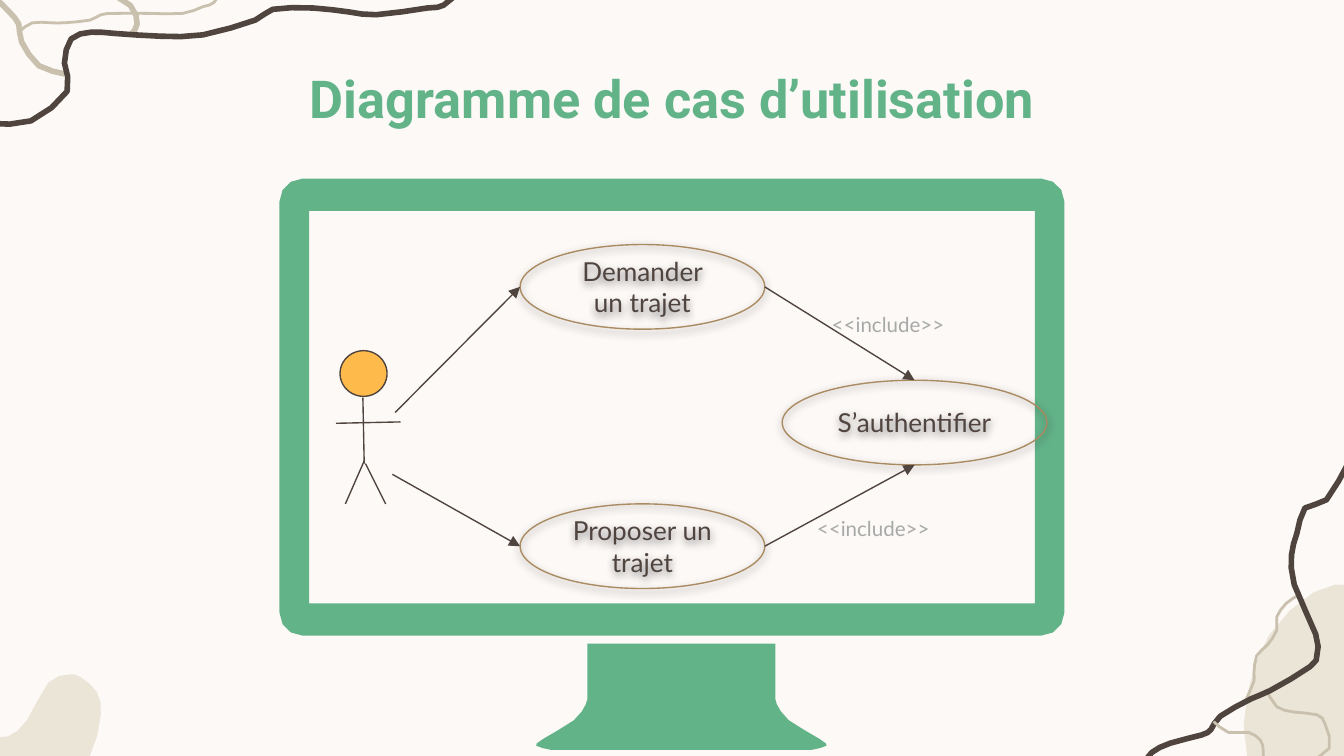
from dataclasses import dataclass
from math import cos, pi, sin
from typing import Optional

from lxml.etree import SubElement
from pptx import Presentation
from pptx.dml.color import RGBColor
from pptx.enum.shapes import MSO_CONNECTOR, MSO_SHAPE
from pptx.enum.text import MSO_ANCHOR, PP_ALIGN
from pptx.oxml.ns import qn
from pptx.util import Cm, Pt

UNIT = Cm(2.54)  # every coordinate below counts in this grid unit
CURVE_STEPS = 2  # straight pieces between two points of a curve
CORNER_STEPS = 3  # straight pieces in a rounded corner
COLORS = {
    "paper": "FCF9F7", "green": "63B389", "dark": "50443F", "sand": "EBE5D8",
    "taupe": "C9C0AD", "bronze": "AA8B61", "orange": "FFBA4C", "gray": "A6A9A8",
}
Point = tuple[float, float]


@dataclass
class Stroke:
    color: str
    width: float
    points: list[Point]


@dataclass
class UseCase:
    text: str
    left: float
    top: float
    width: float
    height: float = 0.63

    def side(self, across: float, down: float) -> Point:
        """Point at the given fractions of the width and height."""
        return self.left + across * self.width, self.top + down * self.height


BLOBS = [
    [(10.38, 4.5), (10.09, 4.35), (9.77, 4.41), (9.44, 4.73), (9.28, 5.17), (9.28, 5.64),
     (9.55, 6.2), (10.83, 6.3), (11.1, 5.65), (10.73, 5.41), (10.53, 4.77)],
    [(-0.6, 4.89), (-0.92, 5.14), (-0.92, 5.49), (-0.69, 5.87), (-0.05, 6.09), (0.4, 5.97),
     (0.66, 5.65), (0.75, 5.32), (0.72, 5.15), (0.6, 5.04), (0.51, 5.02), (0.36, 5.08),
     (0.2, 5.36), (0.06, 5.48), (-0.11, 5.45), (-0.21, 5.22), (-0.37, 4.98)],
]
STROKES = [
    Stroke("taupe", 3, [(0.98, 0.25), (1.02, 0.18), (0.97, 0.04), (0.73, -0.1)]),
    Stroke("taupe", 1.5, [(9.42, 5.13), (9.5, 5.26), (9.63, 5.3), (9.8, 5.32), (9.86, 5.39),
                          (9.89, 5.57), (9.71, 5.69)]),
    Stroke("taupe", 1.5, [(9.66, 4.43), (9.57, 4.49), (9.5, 4.59), (9.5, 4.69), (9.43, 4.8),
                          (9.35, 4.88), (9.33, 5.01), (9.33, 5.07), (9.27, 5.21)]),
    Stroke("dark", 3, [(10.03, 3.45), (9.87, 3.72), (9.71, 3.78), (9.65, 3.97), (9.61, 4.13),
                       (9.63, 4.35), (9.79, 4.72), (9.8, 4.87), (9.75, 4.96), (9.45, 5.14),
                       (9.31, 5.2), (9.08, 5.33), (9.01, 5.43), (8.94, 5.47), (8.71, 5.53),
                       (8.57, 5.6), (8.5, 5.7)]),
    Stroke("taupe", 1.5, [(9.03, 5.37), (9.14, 5.45), (9.29, 5.45), (9.38, 5.51), (9.4, 5.59),
                          (9.4, 5.69)]),
    Stroke("taupe", 3, [(0.48, 0.55), (0.29, 0.49), (0.16, 0.31), (0.14, 0.18), (0.07, 0.09),
                        (-0.03, -0.01)]),
    Stroke("dark", 3, [(-0.05, 0.92), (0.23, 0.9), (0.5, 0.68), (0.48, 0.47), (0.53, 0.29),
                       (0.68, 0.24), (0.86, 0.25), (1.19, 0.27), (1.51, 0.26), (1.9, 0.15),
                       (2.03, 0.07), (2.33, 0.06), (2.6, 0.09), (2.8, 0.11), (3.18, 0.06),
                       (3.3, 0.04), (3.45, -0.09)]),
    Stroke("taupe", 1.5, [(0.15, 0.23), (0.24, 0.17), (0.38, 0.17), (0.48, 0.17), (0.67, 0.15),
                          (0.75, 0.11), (0.86, 0.1), (1.11, 0.1), (1.36, 0.1), (1.51, 0.05),
                          (1.59, 0.02), (1.67, -0.09)]),
]
REQUEST = UseCase("Demander un trajet", 3.87, 1.82, 1.82)
LOGIN = UseCase("S’authentifier", 5.82, 2.83, 1.97)
OFFER = UseCase("Proposer un trajet", 3.87, 3.75, 1.82)
ACTOR_LIMBS = [((2.7, 2.96), (2.71, 3.45)), ((2.71, 3.43), (2.57, 3.75)),
               ((2.72, 3.45), (2.87, 3.75)), ((2.5, 3.15), (2.98, 3.14))]
ARROWS = [(REQUEST.side(1, 0.5), LOGIN.side(0.5, 0)), (OFFER.side(1, 0.5), LOGIN.side(0.5, 1)),
          ((2.94, 3.07), REQUEST.side(0, 0.5)), ((2.92, 3.53), OFFER.side(0, 0.5))]


def rgb(name: str) -> RGBColor:
    return RGBColor.from_string(COLORS[name])


def units(*values: float) -> list[int]:
    return [round(value * UNIT) for value in values]


def smooth(points: list[Point], closed: bool = False) -> list[Point]:
    """Run a Catmull-Rom curve through the points."""
    ends = (points[-1:], points[:2]) if closed else (points[:1], points[-1:])
    knots = ends[0] + points + ends[1]
    curve = [points[0]]
    for a, b, c, d in zip(knots, knots[1:], knots[2:], knots[3:]):
        for step in range(1, CURVE_STEPS + 1):
            t = step / CURVE_STEPS
            curve.append(tuple(
                q + t / 2 * (r - p + t * (2 * p - 5 * q + 4 * r - s + t * (3 * (q - r) + s - p)))
                for p, q, r, s in zip(a, b, c, d)))
    return curve


def rounded_outline(left: float, top: float, right: float, bottom: float,
                    radius: float) -> list[Point]:
    corners = [(right - radius, bottom - radius), (left + radius, bottom - radius),
               (left + radius, top + radius), (right - radius, top + radius)]
    return [(x + radius * cos(angle), y + radius * sin(angle))
            for turn, (x, y) in enumerate(corners)
            for angle in (pi / 2 * (turn + step / CORNER_STEPS)
                          for step in range(CORNER_STEPS + 1))]


def paint(shape, fill: Optional[str] = None, line: Optional[str] = None,
          width: float = 0.75) -> None:
    shape.shadow.inherit = False
    for part, color in ((shape.fill, fill), (shape.line.fill, line)):
        if color:
            part.solid()
            part.fore_color.rgb = rgb(color)
        else:
            part.background()
    if line:
        shape.line.width = Pt(width)


def add_outline(page, contours: list[list[Point]], closed: bool = True):
    grid = [[(x * 1000, y * 1000) for x, y in contour] for contour in contours]
    builder = page.shapes.build_freeform(*grid[0][0], scale=UNIT / 1000)
    for number, contour in enumerate(grid):
        if number:
            builder.move_to(*contour[0])
        builder.add_line_segments(contour[1:], close=closed)
    return builder.convert_to_shape()


def write(shape, text: str, align: PP_ALIGN, anchor: MSO_ANCHOR, color: str,
          **font_format) -> None:
    frame = shape.text_frame
    margins = {f"margin_{side}": Cm(0.25) for side in ("left", "right", "top", "bottom")}
    for name, value in {**margins, "word_wrap": True, "vertical_anchor": anchor}.items():
        setattr(frame, name, value)
    para = frame.paragraphs[0]
    para.alignment = align
    span = para.add_run()
    span.text = text
    span.font.color.rgb = rgb(color)
    for name, value in font_format.items():
        setattr(span.font, name, value)


def add_line(page, start: Point, end: Point, arrow: bool = False) -> None:
    line = page.shapes.add_connector(MSO_CONNECTOR.STRAIGHT, *units(*start, *end))
    line.line.color.rgb = rgb("dark")
    line.line.width = Pt(0.75)
    if arrow:
        SubElement(line._element.spPr.find(qn("a:ln")), qn("a:tailEnd"), type="triangle")
    SubElement(line._element.spPr, qn("a:effectLst"))


def add_use_case(page, case: UseCase) -> None:
    oval = page.shapes.add_shape(MSO_SHAPE.FLOWCHART_CONNECTOR,
                                 *units(case.left, case.top, case.width, case.height))
    paint(oval, line="bronze")
    shadow = SubElement(oval._element.spPr.find(qn("a:effectLst")), qn("a:outerShdw"),
                        blurRad=str(Pt(4.5)), dist=str(Pt(1.5)), dir="5400000",
                        algn="bl", rotWithShape="0")
    tint = SubElement(shadow, qn("a:srgbClr"), val="000000")
    SubElement(tint, qn("a:alpha"), val="50000")
    write(oval, case.text, PP_ALIGN.CENTER, MSO_ANCHOR.MIDDLE, "dark", name="Lato", size=Pt(14))


def add_monitor(page) -> None:
    screen = [(7.7, 1.57), (7.7, 4.49), (2.3, 4.49), (2.3, 1.57)]
    frame = rounded_outline(2.08, 1.33, 7.92, 4.73, 0.17)[::-1]
    foot = [(4.37, 5.18), (4.36, 5.24), (4.27, 5.36), (4.04, 5.5), (3.99, 5.55), (4.1, 5.58)]
    left = [(4.37, 4.79)] + smooth(foot)
    right = [(10.14 - x, y) for x, y in reversed(left)]
    for contours in ([screen, frame], [left + right]):
        paint(add_outline(page, contours), fill="green")


def main() -> None:
    deck = Presentation()
    deck.slide_width, deck.slide_height = Cm(25.4), Cm(14.29)
    page = deck.slides.add_slide(deck.slide_layouts[5])
    page.background.fill.solid()
    page.background.fill.fore_color.rgb = rgb("paper")

    for blob in BLOBS:
        paint(add_outline(page, [smooth(blob, closed=True)]), fill="sand")
    for stroke in STROKES:
        paint(add_outline(page, [smooth(stroke.points)], closed=False),
              line=stroke.color, width=stroke.width)

    title = page.shapes.title
    title.left, title.top, title.width, title.height = units(0.83, 0.41, 8.34, 0.63)
    write(title, "Diagramme de cas d’utilisation", PP_ALIGN.CENTER, MSO_ANCHOR.MIDDLE,
          "green", name="Roboto", size=Pt(28), bold=True)

    add_monitor(page)
    head = page.shapes.add_shape(MSO_SHAPE.OVAL, *units(2.53, 2.61, 0.35, 0.34))
    paint(head, fill="orange", line="dark")
    for limb in ACTOR_LIMBS:
        add_line(page, *limb)
    for case in (REQUEST, LOGIN, OFFER):
        add_use_case(page, case)
    for arrow in ARROWS:
        add_line(page, *arrow, arrow=True)
    for left, top in ((6.09, 2.23), (5.98, 3.75)):
        box = page.shapes.add_textbox(*units(left, top, 1.18, 0.39))
        write(box, "<<include>>", PP_ALIGN.LEFT, MSO_ANCHOR.TOP, "gray", name="Lato", size=Pt(11))
    deck.save("out.pptx")


if __name__ == "__main__":
    main()
